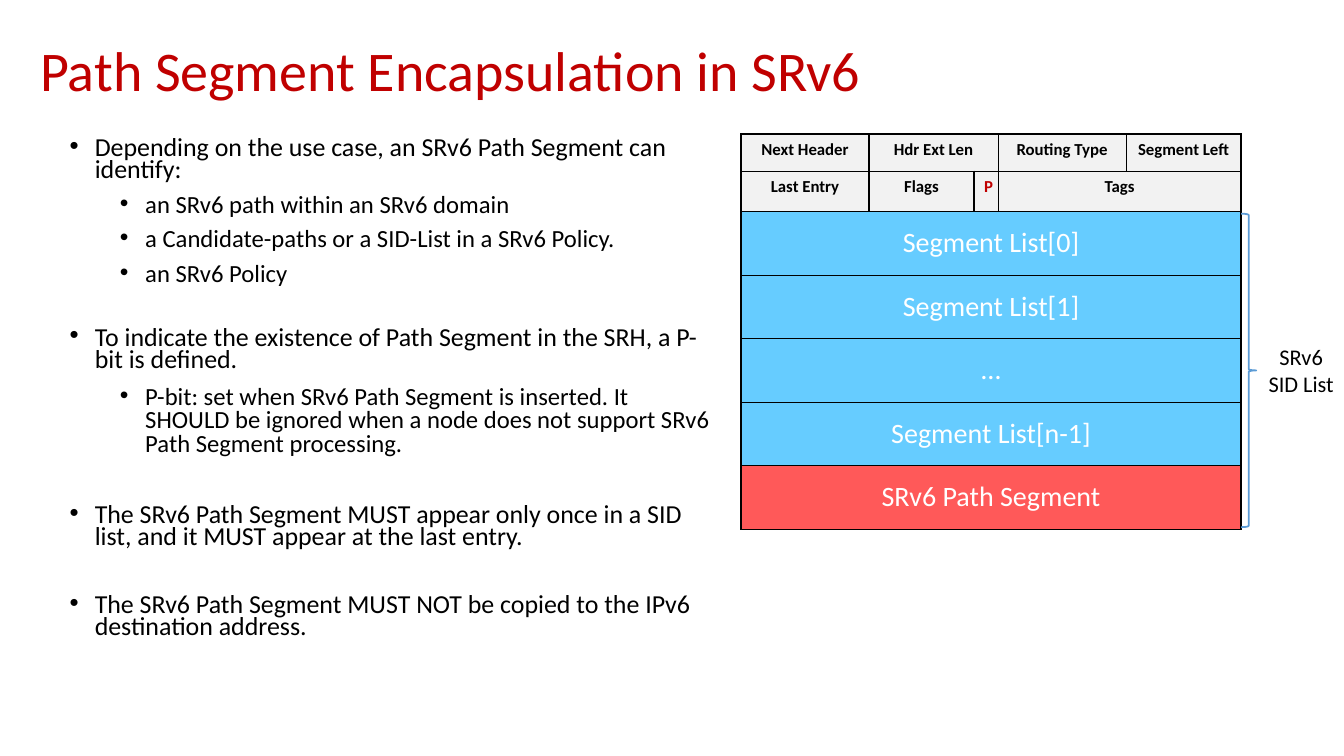
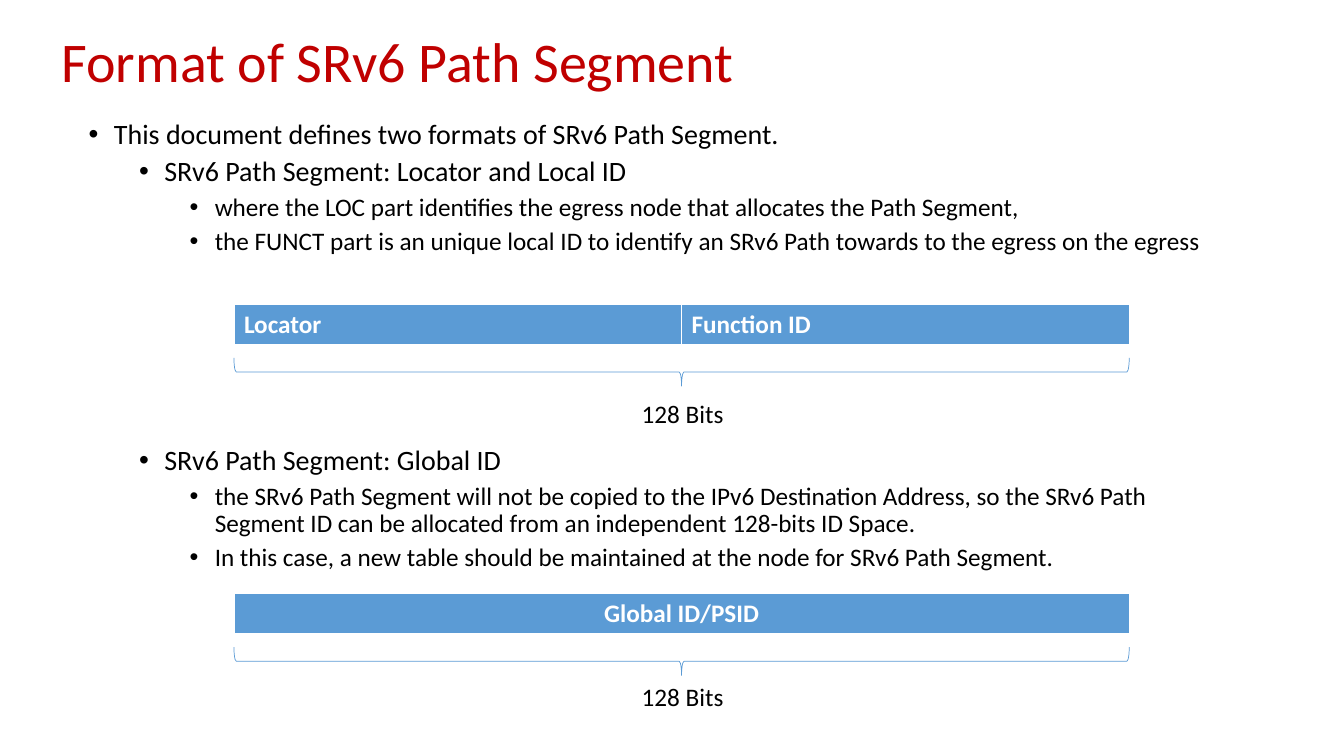
import pptx
import pptx.util
import pptx.dml.color
import pptx.enum.shapes
import pptx.enum.text
import pptx.oxml
import pptx.oxml.ns

Inches = pptx.util.Inches
Pt = pptx.util.Pt
ALIGN = pptx.enum.text.PP_ALIGN
ANCHOR = pptx.enum.text.MSO_ANCHOR
SHAPE = pptx.enum.shapes.MSO_SHAPE

COLORS = {
    "title": "C00000",
    "text": "000000",
    "white": "FFFFFF",
    "header": "F2F2F2",
    "segment": "66CCFF",
    "path": "FF5959",
    "accent": "5B9BD5",
}


def rgb(name):
    return pptx.dml.color.RGBColor.from_string(COLORS[name])


class Deck:
    font = "Calibri"

    def __init__(self):
        self.prs = pptx.Presentation()
        self.prs.slide_width = Inches(13.33)
        self.prs.slide_height = Inches(7.5)
        self.s = None

    def place(self, sp, box):
        sp.left, sp.top, sp.width, sp.height = [Inches(v) for v in box]

    def style(self, p, size, color="text", bold=False, align=ALIGN.LEFT):
        p.alignment = align
        for r in p.runs:
            r.font.name = self.font
            r.font.size = Pt(size)
            r.font.bold = bold
            r.font.color.rgb = rgb(color)

    def slide(self, title, box):
        self.s = self.prs.slides.add_slide(self.prs.slide_layouts[1])
        sp = self.s.shapes.title
        self.place(sp, box)
        tf = sp.text_frame
        tf.text = title
        tf.auto_size = pptx.enum.text.MSO_AUTO_SIZE.NONE
        tf.vertical_anchor = ANCHOR.MIDDLE
        tf.paragraphs[0].line_spacing = 0.9
        self.style(tf.paragraphs[0], 40, "title")

    def bullets(self, box, items):
        sp = self.s.placeholders[1]
        self.place(sp, box)
        tf = sp.text_frame
        tf.text = "\n".join(item[-1] for item in items)
        tf.auto_size = pptx.enum.text.MSO_AUTO_SIZE.NONE
        for p, (level, size, spacing, before, _) in zip(tf.paragraphs, items):
            p.level = level
            p.line_spacing = spacing
            p.space_before = Pt(before)
            p.space_after = Pt(0)
            self.style(p, size)
            pPr = p._p.get_or_add_pPr()
            pPr.set("marL", str(Inches(0.25 + 0.5 * level)))
            pPr.set("indent", str(Inches(-0.25)))
            ns = pptx.oxml.ns.nsdecls("a")
            pPr.append(pptx.oxml.parse_xml(f'<a:buFont {ns} typeface="Arial"/>'))
            pPr.append(pptx.oxml.parse_xml(f'<a:buChar {ns} char="•"/>'))

    def borders(self, cell, color, bottom):
        tcPr = cell._tc.get_or_add_tcPr()
        ns = pptx.oxml.ns.nsdecls("a")
        for i, side in enumerate("LRTB"):
            width = Pt(bottom if side == "B" else 1)
            tcPr.insert(i, pptx.oxml.parse_xml(
                f'<a:ln{side} {ns} w="{width}"><a:solidFill>'
                f'<a:srgbClr val="{COLORS[color]}"/></a:solidFill></a:ln{side}>'))

    def table(self, left, top, widths, heights, rows, line, bottom=1):
        frame = self.s.shapes.add_table(
            len(heights), len(widths), Inches(left), Inches(top),
            Inches(sum(widths)), Inches(sum(heights)))
        tbl = frame.table
        tbl.horz_banding = False
        for column, width in zip(tbl.columns, widths):
            column.width = Inches(width)
        for row, height in zip(tbl.rows, heights):
            row.height = Inches(height)
        for i, (fill, size, bold, align, anchor, cells) in enumerate(rows):
            col = 0
            for text, span, color in cells:
                cell = tbl.cell(i, col)
                for j in range(col, col + span):
                    self.borders(tbl.cell(i, j), line, bottom)
                    tbl.cell(i, j).fill.solid()
                    tbl.cell(i, j).fill.fore_color.rgb = rgb(fill)
                if span > 1:
                    cell.merge(tbl.cell(i, col + span - 1))
                cell.text = text
                cell.vertical_anchor = anchor
                self.style(cell.text_frame.paragraphs[0], size, color, bold, align)
                col += span

    def brace(self, kind, box, width, rotation=0):
        sp = self.s.shapes.add_shape(kind, *[Inches(v) for v in box])
        sp.rotation = rotation
        sp.shadow.inherit = False
        sp.fill.background()
        sp.line.color.rgb = rgb("accent")
        sp.line.width = Pt(width)

    def label(self, text, box, size, wrap=True):
        tf = self.s.shapes.add_textbox(*[Inches(v) for v in box]).text_frame
        tf.word_wrap = wrap
        tf.text = text
        for p in tf.paragraphs:
            self.style(p, size, align=ALIGN.CENTER)


def encapsulation(deck):
    deck.slide("Path Segment Encapsulation in SRv6", (0.3, 0, 13.19, 1.45))
    deck.bullets((0.59, 1.33, 6.56, 5.38), [
        (0, 18.5, 0.7, 10, "Depending on the use case, an SRv6 Path Segment can identify:"),
        (1, 17.6, 0.7, 10, "an SRv6 path within an SRv6 domain"),
        (1, 17.6, 0.7, 10, "a Candidate-paths or a SID-List in a SRv6 Policy."),
        (1, 17.6, 0.7, 10, "an SRv6 Policy"),
        (0, 18.5, 0.7, 30, "To indicate the existence of Path Segment in the SRH, a P-bit is defined."),
        (1, 17.6, 0.8, 10, "P-bit: set when SRv6 Path Segment is inserted. It SHOULD be ignored "
                           "when a node does not support SRv6 Path Segment processing."),
        (0, 18.5, 0.7, 35, "The SRv6 Path Segment MUST appear only once in a SID list, "
                           "and it MUST appear at the last entry."),
        (0, 18.5, 0.7, 33, "The SRv6 Path Segment MUST NOT be copied to the IPv6 destination address."),
    ])
    header = ("header", 12, True, ALIGN.CENTER, ANCHOR.TOP)
    entry = (20, False, ALIGN.CENTER, ANCHOR.MIDDLE)
    rows = [
        (*header, [("Next Header", 1, "text"), ("Hdr Ext Len", 2, "text"),
                   ("Routing Type", 1, "text"), ("Segment Left", 1, "text")]),
        (*header, [("Last Entry", 1, "text"), ("Flags", 1, "text"),
                   ("P", 1, "title"), ("Tags", 2, "text")]),
    ]
    segments = ["Segment List[0]", "Segment List[1]", "…", "Segment List[n-1]"]
    rows += [("segment", *entry, [(text, 5, "white")]) for text in segments]
    rows.append(("path", *entry, [("SRv6 Path Segment", 5, "white")]))
    deck.table(7.35, 1.33, [1.27, 1.04, 0.24, 1.27, 1.14],
               [0.37, 0.4] + [0.63] * 5, rows, "text")
    deck.brace(SHAPE.RIGHT_BRACE, (12.31, 2.12, 0.15, 3.11), 1.25)
    deck.label("SRv6\nSID List", (12.31, 3.36, 1.19, 0.64), 16)


def formats(deck):
    deck.slide("Format of SRv6 Path Segment", (0.51, -0.09, 11.5, 1.45))
    deck.bullets((0.78, 1.14, 11.5, 4.76), [
        (0, 20, 0.9, 10, "This document defines two formats of SRv6 Path Segment."),
        (1, 20, 0.9, 5, "SRv6 Path Segment: Locator and Local ID"),
        (2, 18, 0.9, 5, "where the LOC part identifies the egress node that allocates the Path Segment,"),
        (2, 18, 0.9, 5, "the FUNCT part is an unique local ID to identify an SRv6 Path "
                        "towards to the egress on the egress"),
        (1, 20, 0.9, 136, "SRv6 Path Segment: Global ID"),
        (2, 18, 0.9, 5, "the SRv6 Path Segment will not be copied to the IPv6 Destination Address, "
                        "so the SRv6 Path Segment ID can be allocated from an independent 128-bits ID Space."),
        (2, 18, 0.9, 5, "In this case, a new table should be maintained at the node for SRv6 Path Segment."),
    ])
    width = 8.88
    bars = [
        (3.02, 3.9, ALIGN.LEFT, ["Locator", "Function ID"]),
        (5.89, 6.71, ALIGN.CENTER, ["Global ID/PSID"]),
    ]
    for top, label_top, align, fields in bars:
        cells = [(text, 1, "white") for text in fields]
        deck.table(2.32, top, [width / len(fields)] * len(fields), [0.41],
                   [("accent", 18, True, align, ANCHOR.TOP, cells)], "white", bottom=3)
        deck.brace(SHAPE.LEFT_BRACE, (6.62, top - 3.77, 0.28, width), 0.5, rotation=270)
        deck.label("128 Bits", (6.26, label_top, 1.02, 0.4), 18, wrap=False)


def main():
    deck = Deck()
    encapsulation(deck)
    formats(deck)
    deck.prs.save("out.pptx")


if __name__ == "__main__":
    main()
